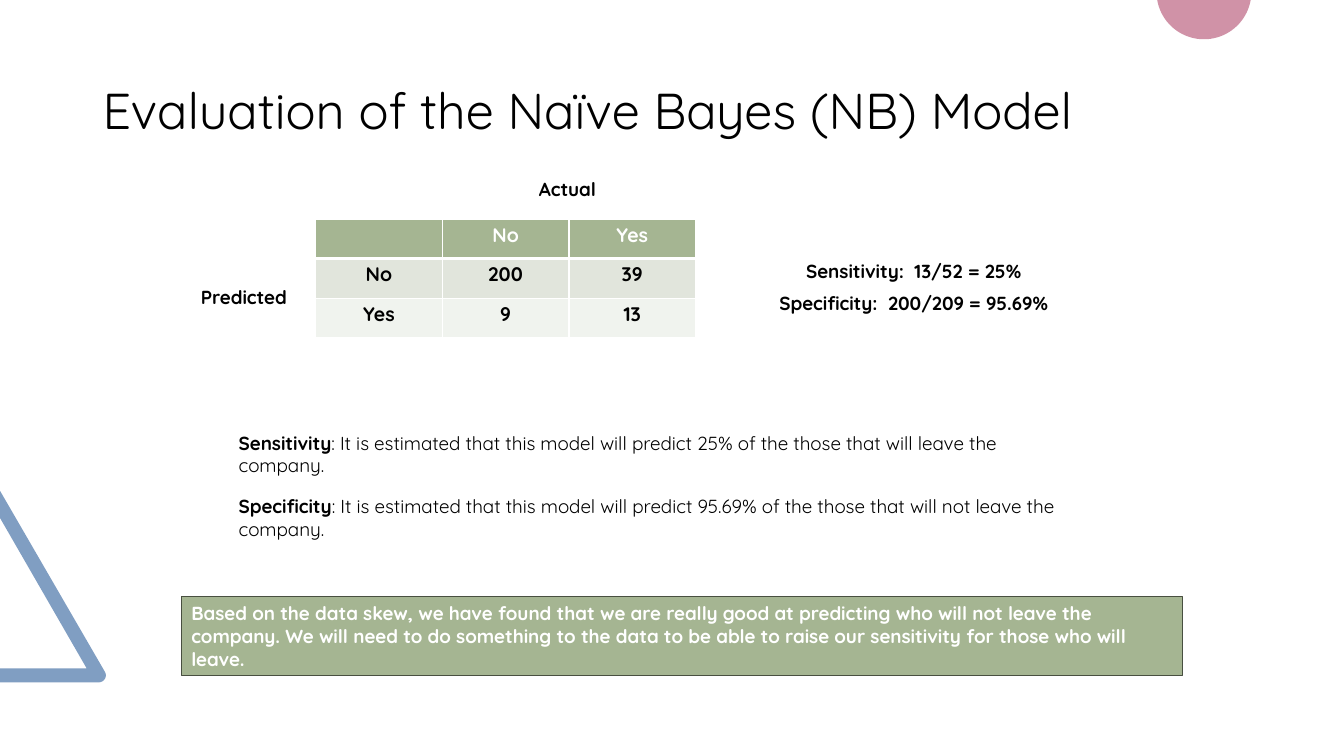
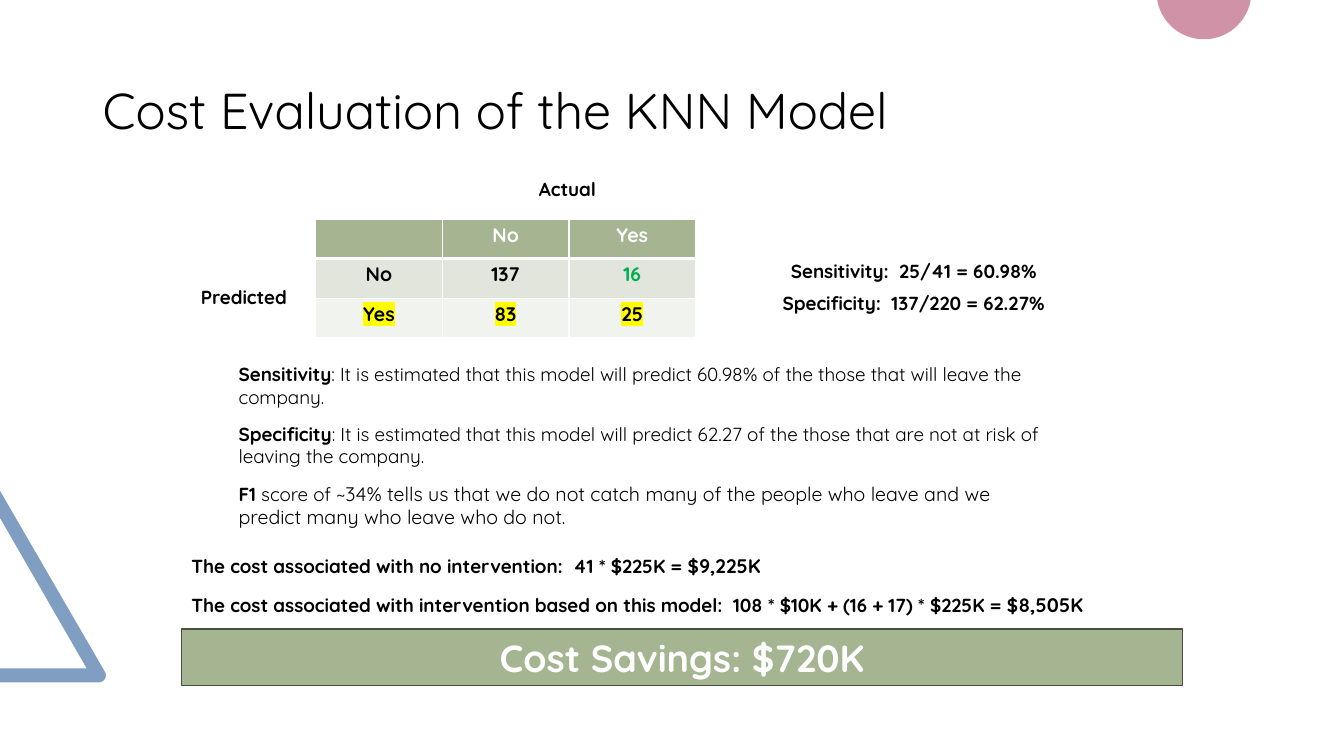
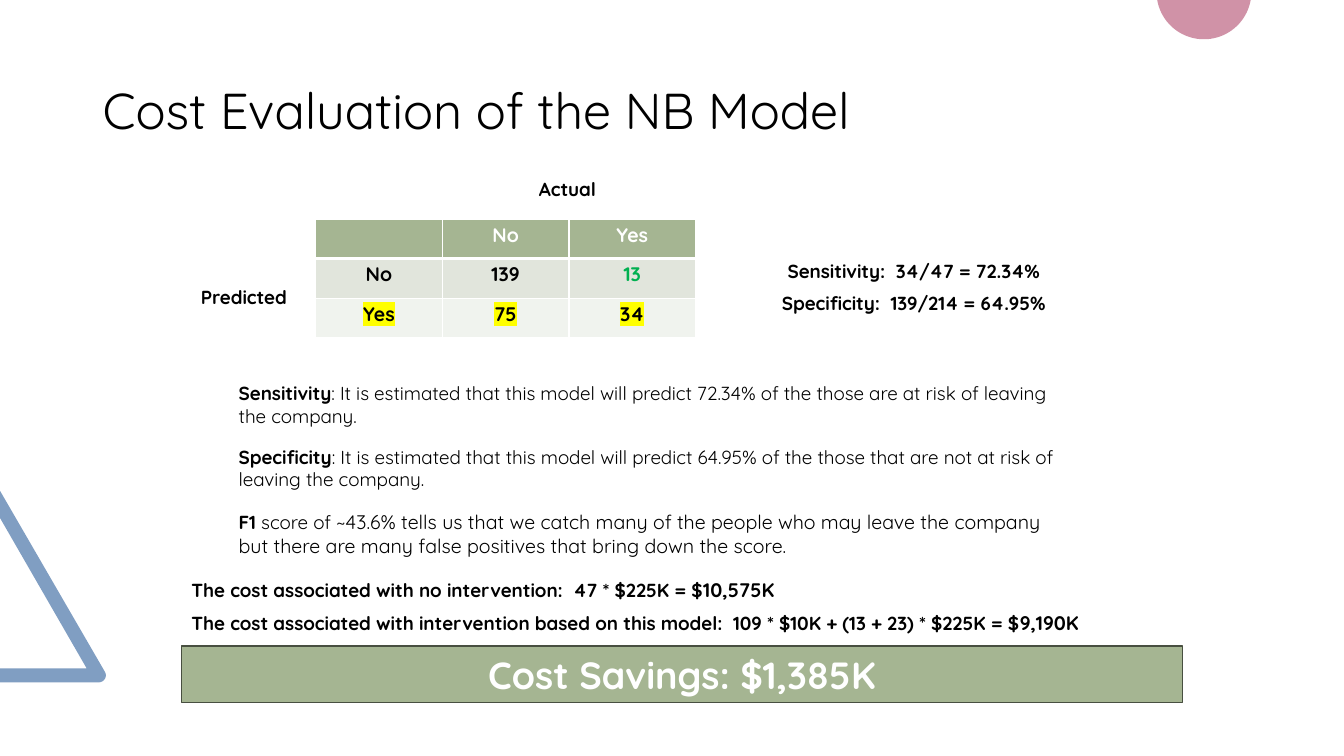
from dataclasses import dataclass
from math import cos, radians, sin

from lxml.etree import SubElement
from pptx import Presentation
from pptx.dml.color import RGBColor
from pptx.enum.shapes import MSO_SHAPE as Shape
from pptx.enum.text import MSO_ANCHOR as Anchor, MSO_AUTO_SIZE as AutoSize, PP_ALIGN as Align
from pptx.oxml import parse_xml
from pptx.oxml.ns import nsdecls, qn
from pptx.util import Pt


@dataclass(frozen=True)
class Theme:
    font: str = "Quicksand"
    black: str = "000000"
    white: str = "FFFFFF"
    green: str = "A5B592"
    outline: str = "484F40"
    bands: tuple = ("E1E5DC", "F0F3EE")
    good: str = "00B050"
    highlight: str = "FFFF00"
    blue: str = "809EC2"
    pink: str = "D092A7"
    title: float = 36
    savings: float = 27
    large: float = 14
    text: float = 13.5


T = Theme()
PLAIN = {"bold": False}
LARGE = {"size": Pt(T.large)}
EDGE, BAND_WIDTH = 129.6, 715
STATEMENT_LEFT, STATEMENT_WIDTH = 163.4, 597
METRIC_PITCH = 22.6


def rgb(color):
    return RGBColor.from_string(color)


def arc(cx, cy, radius, start, end, steps=40):
    """Points along an arc, in degrees clockwise from the right."""
    angles = [radians(start + (end - start) * i / steps) for i in range(steps + 1)]
    return [(cx + radius * cos(a), cy + radius * sin(a)) for a in angles]


TRIANGLE = [(0, 487.4), (0, 477.4), (61.9, 477.4), (0, 370), (0, 350.6),
            *arc(70.6, 482.4, 5, -30, 90)]
DISC = arc(860, -5.8, 33.9, 9.9, 170.1)


class Deck:
    def __init__(self, theme):
        self.theme = theme
        self.prs = Presentation()
        self.prs.slide_width, self.prs.slide_height = Pt(960), Pt(540)
        self.s = None

    def new_slide(self, title):
        t = self.theme
        self.s = self.prs.slides.add_slide(self.prs.slide_layouts[5])
        self.outline(TRIANGLE, t.blue)
        self.outline(DISC, t.pink)
        sp = self.s.shapes.title
        sp.left, sp.top, sp.width, sp.height = map(Pt, (66.2, 28.8, 828, 104.4))
        tf = sp.text_frame
        tf.auto_size = AutoSize.NONE
        tf.vertical_anchor = Anchor.MIDDLE
        p = tf.paragraphs[0]
        p.line_spacing = 0.9
        self.fill_paragraph(p, [(title, {})], t.title, t.black, False, Align.LEFT)

    def outline(self, points, color):
        first, *rest = [(Pt(x), Pt(y)) for x, y in points]
        builder = self.s.shapes.build_freeform(*first)
        builder.add_line_segments(rest, close=True)
        sp = builder.convert_to_shape()
        sp.shadow.inherit = False
        sp.fill.solid()
        sp.fill.fore_color.rgb = rgb(color)
        sp.line.fill.background()

    def fill_paragraph(self, p, runs, size, color, bold=True, align=Align.LEFT):
        """Fill a paragraph with (text, font overrides) runs."""
        p.alignment = align
        font = p.font
        font.name, font.size, font.bold = self.theme.font, Pt(size), bold
        font.color.rgb = rgb(color)
        for text, overrides in runs:
            r = p.add_run()
            r.text = text
            if "bold" in overrides:
                r.font.bold = overrides["bold"]
            if "size" in overrides:
                r.font.size = overrides["size"]

    def text(self, box, *runs, align=Align.LEFT):
        tf = self.s.shapes.add_textbox(*map(Pt, box)).text_frame
        tf.word_wrap = True
        tf.auto_size = AutoSize.SHAPE_TO_FIT_TEXT
        self.fill_paragraph(tf.paragraphs[0], runs, self.theme.text, self.theme.black,
                            align=align)

    def label(self, box, text):
        self.text(box, (text, {}), align=Align.CENTER)

    def statement(self, top, *runs, width=STATEMENT_WIDTH):
        self.text((STATEMENT_LEFT, top, width, 40.3), *runs)

    def cost(self, top, formula, amount):
        self.text((EDGE, top, BAND_WIDTH, 24.5), (formula, {}), (amount, LARGE))

    def band(self, top, height, text, size, align):
        t = self.theme
        sp = self.s.shapes.add_shape(Shape.RECTANGLE, *map(Pt, (EDGE, top, BAND_WIDTH, height)))
        sp.shadow.inherit = False
        sp.fill.solid()
        sp.fill.fore_color.rgb = rgb(t.green)
        sp.line.color.rgb = rgb(t.outline)
        sp.line.width = Pt(1)
        tf = sp.text_frame
        tf.word_wrap = True
        self.fill_paragraph(tf.paragraphs[0], [(text, {})], size, t.white, align=align)

    def borders(self, cell, widths):
        """Set left, right, top and bottom border widths, in that order."""
        tcPr = cell._tc.get_or_add_tcPr()
        for i, (side, width) in enumerate(zip("LRTB", widths)):
            tcPr.insert(i, parse_xml(
                f'<a:ln{side} {nsdecls("a")} w="{Pt(width)}"><a:solidFill>'
                f'<a:srgbClr val="{self.theme.white}"/></a:solidFill></a:ln{side}>'))

    def highlight(self, r):
        mark = SubElement(r._r.get_or_add_rPr(), qn("a:highlight"))
        SubElement(mark, qn("a:srgbClr")).set("val", self.theme.highlight)

    def matrix(self, counts, marked):
        """Draw the confusion matrix; marked emphasises the intervention cells."""
        t = self.theme
        rows = [("", "No", "Yes"), ("No", *counts[0]), ("Yes", *counts[1])]
        table = self.s.shapes.add_table(3, 3, *map(Pt, (225.4, 156.4, 271.5, 84.9))).table
        table.horz_banding = False
        for i, row in enumerate(rows):
            table.rows[i].height = Pt(28.3)
            table.columns[i].width = Pt(90.5)
            for j, value in enumerate(row):
                cell = table.cell(i, j)
                cell.margin_left = cell.margin_right = Pt(5.4)
                cell.margin_top = cell.margin_bottom = Pt(2.7)
                cell.fill.solid()
                cell.fill.fore_color.rgb = rgb((t.green, *t.bands)[i])
                self.borders(cell, (1, 1, 3 if i == 1 else 1, 3 if i == 0 else 1))
                color = t.black if i else t.white
                if marked and (i, j) == (1, 2):
                    color = t.good
                p = cell.text_frame.paragraphs[0]
                runs = [(str(value), {})] if value != "" else []
                self.fill_paragraph(p, runs, t.large, color, align=Align.CENTER)
                if marked and i == 2:
                    self.highlight(p.runs[0])

    def evaluation(self, title, counts, sensitivity, specificity, marked=True):
        self.new_slide(title)
        self.matrix(counts, marked)
        self.label((360.7, 123.1, 89.3, 23.8), "Actual")
        self.label((EDGE, 200.2, 89.3, 23.8), "Predicted")
        metrics = (f"Sensitivity:  {sensitivity}", f"Specificity:  {specificity}")
        for i, metric in enumerate(metrics):
            self.label((528.5, 182.2 + i * METRIC_PITCH, 248.4, 23.8), metric)

    def cost_evaluation(self, model, counts, ratios, statements, score, costs, savings, tops):
        self.evaluation(f"Cost Evaluation of the {model} Model", counts, *ratios)
        *statement_tops, score_top, none_top, model_top, band_top = tops
        for top, name, text in zip(statement_tops, ("Sensitivity", "Specificity"), statements):
            self.statement(top, (name, {}), (text, PLAIN))
        self.statement(score_top, ("F1", {}), (" score of ", PLAIN), (score, PLAIN | LARGE))
        (none_formula, none_total), (model_formula, model_total) = costs
        self.cost(none_top, f"The cost associated with no intervention:  {none_formula} = $",
                  none_total)
        self.cost(model_top, "The cost associated with intervention based on this model:  "
                  f"{model_formula} = $", model_total)
        self.band(band_top, 40.3, f"Cost Savings: {savings}", self.theme.savings, Align.CENTER)


def main():
    deck = Deck(T)
    predict = ": It is estimated that this model will predict "

    deck.evaluation("Evaluation of the Naïve Bayes (NB) Model", ((200, 39), (9, 13)),
                    "13/52 = 25%", "200/209 = 95.69%", marked=False)
    deck.statement(304.6, ("Sensitivity", {}),
                   (predict + "25% of the those that will leave the company.", PLAIN))
    deck.statement(349.9, ("Specificity", {}),
                   (predict + "95.69% of the those that will not leave the company.", PLAIN),
                   width=627)
    deck.band(426.2, 56.2, "Based on the data skew, we have found that we are really good at "
              "predicting who will not leave the company. We will need to do something to the "
              "data to be able to raise our sensitivity for those who will leave.",
              T.text, Align.LEFT)

    deck.cost_evaluation(
        "KNN", ((137, 16), (83, 25)), ("25/41 = 60.98%", "137/220 = 62.27%"),
        (predict + "60.98% of the those that will leave the company.",
         predict + "62.27 of the those that are not at risk of leaving the company."),
        "~34% tells us that we do not catch many of the people who leave and we predict many "
        "who leave who do not.",
        (("41 * $225K", "9,225K"), ("108 * $10K + (16 + 17) * $225K", "8,505K")), "$720K",
        tops=(255.6, 298.1, 340.6, 392.4, 419.8, 449.3))

    deck.cost_evaluation(
        "NB", ((139, 13), (75, 34)), ("34/47 = 72.34%", "139/214 = 64.95%"),
        (predict + "72.34% of the those are at risk of leaving the company.",
         predict + "64.95% of the those that are not at risk of leaving the company."),
        "~43.6% tells us that we catch many of the people who may leave the company but there "
        "are many false positives that bring down the score.",
        (("47 * $225K", "10,575K"), ("109 * $10K + (13 + 23) * $225K", "9,190K")), "$1,385K",
        tops=(269.3, 314.6, 360.7, 409, 432.7, 461.5))

    deck.prs.save("out.pptx")


if __name__ == "__main__":
    main()
